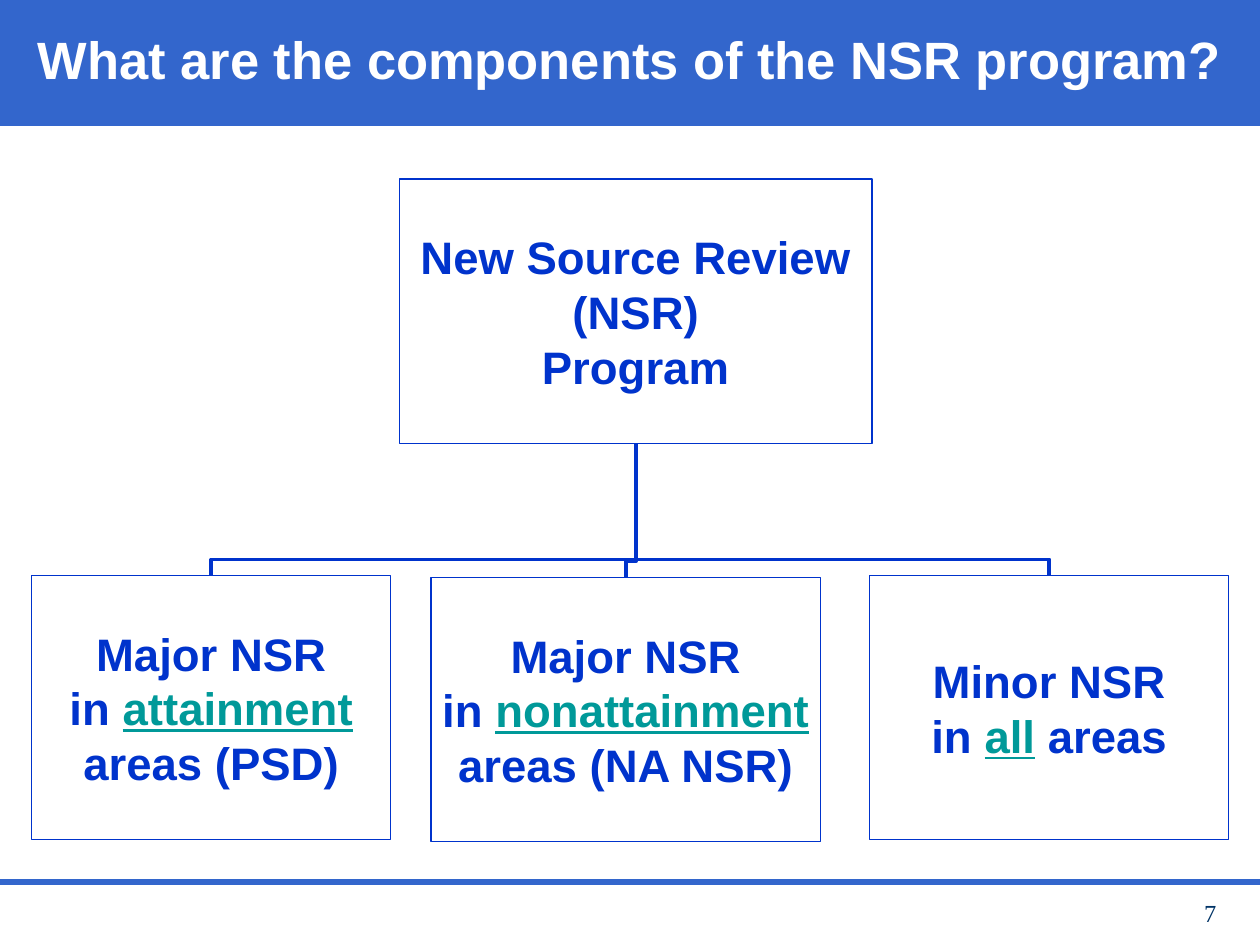
from dataclasses import dataclass

from lxml import etree
from pptx import Presentation
from pptx.dml.color import RGBColor
from pptx.enum.shapes import MSO_CONNECTOR, MSO_SHAPE
from pptx.enum.text import MSO_ANCHOR, MSO_AUTO_SIZE, PP_ALIGN
from pptx.oxml.ns import qn
from pptx.util import Cm, Pt

RECTANGLE = MSO_SHAPE.RECTANGLE
STRAIGHT, ELBOW = MSO_CONNECTOR.STRAIGHT, MSO_CONNECTOR.ELBOW
MIDDLE, TOP = MSO_ANCHOR.MIDDLE, MSO_ANCHOR.TOP
CENTER, RIGHT = PP_ALIGN.CENTER, PP_ALIGN.RIGHT
NO_AUTOFIT = MSO_AUTO_SIZE.NONE
TITLE_ONLY = 5
BOTTOM_SIDE, TOP_SIDE = 2, 0
QUARTER_TURN = "5400000"


@dataclass(frozen=True)
class Theme:
    banner: RGBColor = RGBColor(0x33, 0x66, 0xCC)
    chart: RGBColor = RGBColor(0x00, 0x33, 0xCC)
    emphasis: RGBColor = RGBColor(0x00, 0x99, 0x99)
    title: RGBColor = RGBColor(0xFF, 0xFF, 0xFF)
    number: RGBColor = RGBColor(0x00, 0x33, 0x66)
    heading_font: str = "Arial"
    number_font: str = "Times New Roman"
    title_size: Pt = Pt(30)
    box_size: Pt = Pt(26)
    number_size: Pt = Pt(14)


class SlideBuilder:
    def __init__(self, slide, theme):
        self.slide = slide
        self.theme = theme

    def format(self, paragraph, font_name, size, color, align, bold):
        paragraph.alignment = align
        font = paragraph.font
        font.name, font.size, font.bold = font_name, size, bold
        font.color.rgb = color

    def banner(self, width, height):
        band = self.slide.shapes.add_shape(RECTANGLE, 0, 0, width, height)
        band.shadow.inherit = False
        band.fill.solid()
        band.fill.fore_color.rgb = self.theme.banner
        band.line.fill.background()
        self.slide.shapes.title._element.addprevious(band._element)

    def title(self, wording, width, height):
        title = self.slide.shapes.title
        title.left, title.top, title.width, title.height = 0, 0, width, height
        frame = title.text_frame
        frame.text = wording
        frame.auto_size = NO_AUTOFIT
        frame.vertical_anchor = MIDDLE
        self.format(frame.paragraphs[0], self.theme.heading_font,
                    self.theme.title_size, self.theme.title, CENTER, True)

    def box(self, left, top, width, height, lines):
        box = self.slide.shapes.add_shape(RECTANGLE, left, top, width, height)
        box.shadow.inherit = False
        box.fill.background()
        box.line.color.rgb = self.theme.chart
        box.line.width = Pt(0.75)
        frame = box.text_frame
        frame.word_wrap = False
        frame.vertical_anchor = MIDDLE
        frame.margin_left = frame.margin_right = 0
        frame.margin_top = frame.margin_bottom = 0
        for index, (before, emphasized, after) in enumerate(lines):
            paragraph = frame.paragraphs[0] if index == 0 else frame.add_paragraph()
            self.format(paragraph, self.theme.heading_font,
                        self.theme.box_size, self.theme.chart, CENTER, True)
            for wording in filter(None, (before, emphasized, after)):
                run = paragraph.add_run()
                run.text = wording
                color = self.theme.chart
                if wording == emphasized:
                    color = self.theme.emphasis
                    run.font.underline = True
                run.font.color.rgb = color
        return box

    def connector(self, kind, start, end, color, weight):
        connector = self.slide.shapes.add_connector(kind, *start, *end)
        connector.line.color.rgb = color
        connector.line.width = weight
        etree.SubElement(connector._element.spPr, qn("a:effectLst"))
        return connector

    def branch(self, parent, child, drop):
        start = parent.left + parent.width // 2, parent.top + parent.height
        end = child.left + child.width // 2, child.top
        link = self.connector(ELBOW, start, end, self.theme.chart, Pt(2.25))
        link.begin_connect(parent, BOTTOM_SIDE)
        link.end_connect(child, TOP_SIDE)

        run, fall = abs(end[0] - start[0]), end[1] - start[1]
        link.left = (start[0] + end[0] - fall) // 2
        link.top = (start[1] + end[1] - run) // 2
        link.width, link.height = fall, run
        properties = link._element.spPr
        frame = properties.find(qn("a:xfrm"))
        frame.attrib.pop("flipH", None)
        frame.set("rot", QUARTER_TURN)
        if end[0] > start[0]:
            frame.set("flipV", "1")
        guides = properties.find(qn("a:prstGeom")).find(qn("a:avLst"))
        bend = round(drop / fall * 100000)
        etree.SubElement(guides, qn("a:gd"), name="adj1", fmla=f"val {bend}")

    def page_number(self, number, left, top, width, height):
        frame = self.slide.shapes.add_textbox(left, top, width, height).text_frame
        frame.word_wrap = True
        frame.vertical_anchor = TOP
        frame.text = number
        self.format(frame.paragraphs[0], self.theme.number_font,
                    self.theme.number_size, self.theme.number, RIGHT, False)


def main():
    presentation = Presentation()
    presentation.slide_width, presentation.slide_height = Cm(25.4), Cm(19.05)
    page_width = presentation.slide_width
    theme = Theme()
    slide = presentation.slides.add_slide(presentation.slide_layouts[TITLE_ONLY])
    builder = SlideBuilder(slide, theme)

    builder.banner(page_width, Cm(2.54))
    builder.title("What are the components of the NSR program?", page_width, Cm(2.34))
    footer_y = Cm(17.78)
    builder.connector(STRAIGHT, (0, footer_y), (page_width, footer_y),
                      theme.banner, Pt(3))

    box_height = Cm(5.33)
    program = builder.box(Cm(8.05), Cm(3.61), Cm(9.53), box_height, [
        ("New Source Review", "", ""), ("(NSR)", "", ""), ("Program", "", "")])
    components = [
        (0.64, 11.6, 7.24, [("Major NSR", "", ""), ("in ", "attainment", ""),
                            ("areas (PSD)", "", "")]),
        (8.69, 11.64, 7.85, [("Major NSR", "", ""), ("in ", "nonattainment", ""),
                             ("areas (NA NSR)", "", "")]),
        (17.53, 11.6, 7.24, [("Minor NSR", "", ""), ("in ", "all", " areas")]),
    ]
    bus_gap = Cm(0.32)
    for left, top, width, lines in components:
        component = builder.box(Cm(left), Cm(top), Cm(width), box_height, lines)
        drop = component.top - bus_gap - program.top - program.height
        builder.branch(program, component, drop)

    builder.page_number("7", Cm(18.85), Cm(17.98), Cm(5.92), Cm(0.64))
    presentation.save("out.pptx")


if __name__ == "__main__":
    main()
